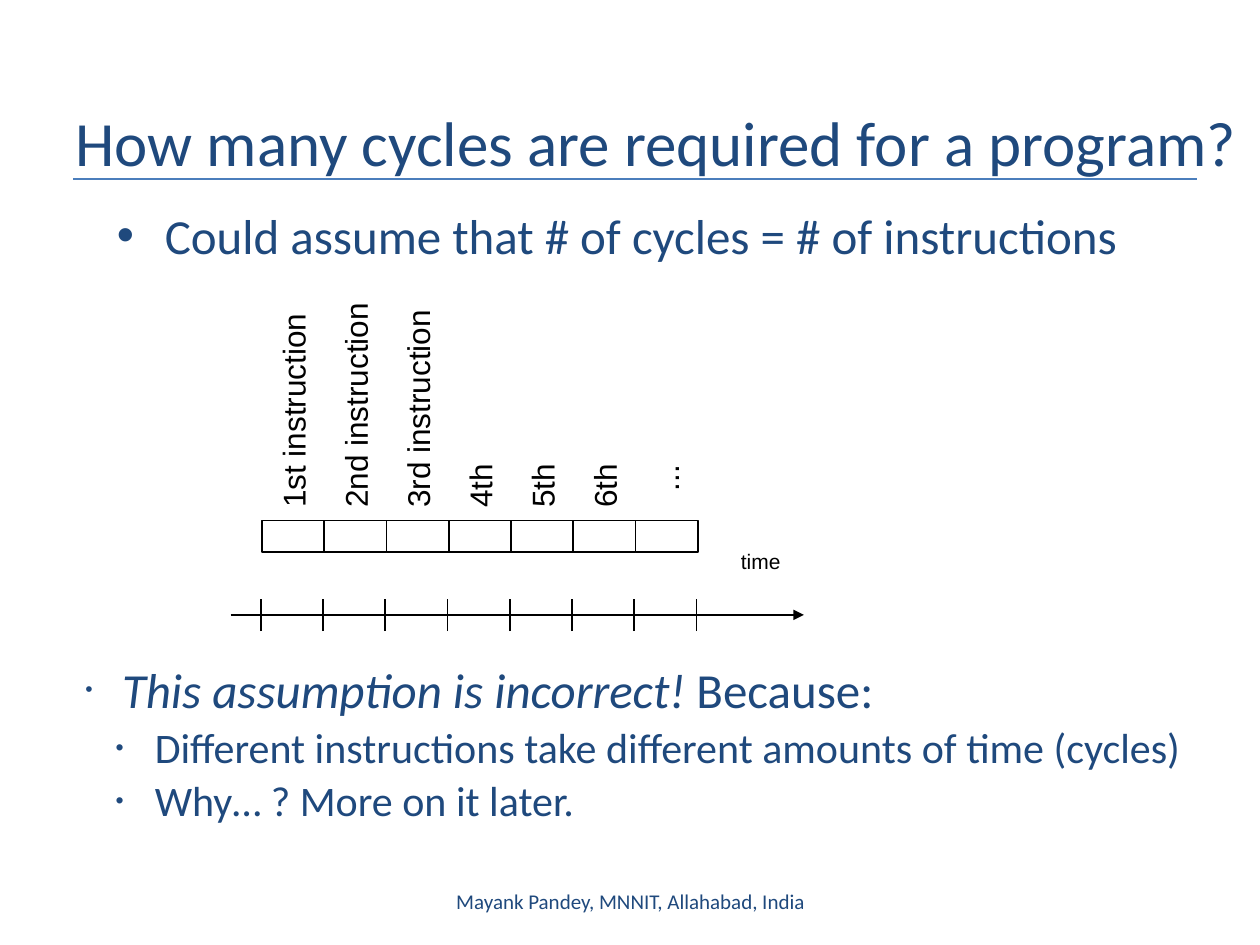
from lxml import etree
from pptx import Presentation
from pptx.dml.color import RGBColor
from pptx.enum.shapes import MSO_CONNECTOR, MSO_SHAPE
from pptx.enum.text import MSO_ANCHOR, PP_ALIGN
from pptx.oxml.ns import qn
from pptx.util import Inches, Pt

NAVY = RGBColor(0x1F, 0x49, 0x7D)
RULE_BLUE = RGBColor(0x4B, 0x7E, 0xBC)
BLACK = RGBColor(0, 0, 0)
WHITE = RGBColor(0xFF, 0xFF, 0xFF)
STRAIGHT = MSO_CONNECTOR.STRAIGHT
RECTANGLE = MSO_SHAPE.RECTANGLE
TOP, MIDDLE = MSO_ANCHOR.TOP, MSO_ANCHOR.MIDDLE
LEFT, CENTER = PP_ALIGN.LEFT, PP_ALIGN.CENTER

WIDTH, HEIGHT = 10, 7.5
LABELS = ["1st instruction", "2nd instruction", "3rd instruction",
          "4th", "5th", "6th", "..."]


def add_text_box(page, box, anchor=TOP, inset=(0.1, 0.05)):
    """Add a wrapping text box and return it."""
    shape = page.shapes.add_textbox(*map(Inches, box))
    frame = shape.text_frame
    frame.word_wrap = True
    frame.vertical_anchor = anchor
    frame.margin_left = frame.margin_right = Inches(inset[0])
    frame.margin_top = frame.margin_bottom = Inches(inset[1])
    return shape


def style(font, size, name="Calibri", color=NAVY):
    font.size, font.name = Pt(size), name
    font.color.rgb = color


def set_bullet(para, margin, hang, percent=100):
    """Give a paragraph a hanging round bullet."""
    props = para._p.get_or_add_pPr()
    props.set("marL", str(Inches(margin)))
    props.set("indent", str(-Inches(hang)))
    color = etree.SubElement(props, qn("a:buClr"))
    etree.SubElement(color, qn("a:srgbClr"), val=str(NAVY))
    etree.SubElement(props, qn("a:buSzPct"), val=str(percent * 1000))
    etree.SubElement(props, qn("a:buFont"), typeface="Arial")
    etree.SubElement(props, qn("a:buChar"), char="•")


def add_line(page, start, end, color=BLACK, width=1, arrow=False):
    line = page.shapes.add_connector(STRAIGHT, *map(Inches, start + end))
    line.line.color.rgb = color
    line.line.width = Pt(width)
    if arrow:
        etree.SubElement(line.line._get_or_add_ln(), qn("a:tailEnd"),
                         type="triangle")
    etree.SubElement(line._element.spPr, qn("a:effectLst"))


def add_plain_text(page, box, text, size, anchor=TOP, align=LEFT):
    """Add one line of navy text."""
    para = add_text_box(page, box, anchor).text_frame.paragraphs[0]
    para.text = text
    para.alignment = align
    style(para.font, size)


def add_title(page, box):
    left, top, width, height = box
    rule_y = top + 0.92
    add_line(page, (left + 0.08, rule_y), (left + 9, rule_y), RULE_BLUE, 0.75)
    add_plain_text(page, box, "How many cycles are required for a program?",
                   36, MIDDLE)


def add_assumption(page, box):
    para = add_text_box(page, box).text_frame.paragraphs[0]
    para.text = "Could assume that # of cycles = # of instructions"
    set_bullet(para, 0.38, 0.38)
    style(para.font, 28)


def add_diagram_label(page, box, text, size, spacing, rotation=0):
    shape = add_text_box(page, box, inset=(0.02, 0.03))
    shape.rotation = rotation
    para = shape.text_frame.paragraphs[0]
    para.text = text
    para.line_spacing = Pt(spacing)
    style(para.font, size, "Arial", BLACK)


def add_timeline(page, box):
    """Draw upright labels over a row of cells, with a time axis below."""
    left, top, width, height = box
    pitch = 0.494
    cells_left = left + 0.25
    cells_top = top + 1.88
    axis_y = top + height - 0.13

    # Time axis and ticks
    add_diagram_label(page, (left + 4.03, axis_y - 0.55, 0.77, 0.33),
                      "time", 12, 14)
    add_line(page, (left, axis_y), (left + width, axis_y), arrow=True)
    for index in range(len(LABELS) + 1):
        x = cells_left - 0.01 + index * pitch
        add_line(page, (x, axis_y + 0.13), (x, axis_y - 0.13))

    # Cells and their labels, which read upwards from a shared base
    for index, text in enumerate(LABELS):
        x = cells_left + index * pitch
        cell = page.shapes.add_shape(
            RECTANGLE, *map(Inches, (x, cells_top, pitch, 0.25)))
        cell.shadow.inherit = False
        cell.fill.solid()
        cell.fill.fore_color.rgb = WHITE
        cell.line.color.rgb = BLACK
        cell.line.width = Pt(1)

        length = 1.8 if "instruction" in text else 0.67
        base = cells_top - (0.21 if text == "..." else 0.08)
        label_box = (x + 0.29 - length / 2, base - length / 2 - 0.215,
                     length, 0.43)
        add_diagram_label(page, label_box, text, 18, 21, 270)


def add_reasons(page, box):
    frame = add_text_box(page, box).text_frame
    heading = frame.paragraphs[0]
    set_bullet(heading, 0.29, 0.29, 43)
    heading.line_spacing = 1.4
    for text, italic in [("This assumption is incorrect!", True),
                         (" Because:", False)]:
        span = heading.add_run()
        span.text = text
        style(span.font, 28)
        span.font.italic = italic

    for text in ["Different instructions take different amounts of time (cycles)",
                 "Why… ? More on it later."]:
        para = frame.add_paragraph()
        para.text = text
        para.level = 1
        para.line_spacing = 0.9
        para.space_before = Pt(4.8)
        set_bullet(para, 0.55, 0.31, 55)
        style(para.font, 24)


def main():
    deck = Presentation()
    deck.slide_width, deck.slide_height = Inches(WIDTH), Inches(HEIGHT)
    page = deck.slides.add_slide(deck.slide_layouts[6])
    page.background.fill.solid()
    page.background.fill.fore_color.rgb = WHITE

    add_assumption(page, (0.83, 1.58, 8.5, 5.17))
    add_timeline(page, (1.83, 2.25, 4.55, 2.76))
    add_title(page, (0.5, 0.5, 9.5, 1.25))
    add_reasons(page, (0.58, 5, 9.08, 1.65))
    add_plain_text(page, (3.42, 6.95, 3.17, 0.4),
                   "Mayank Pandey, MNNIT, Allahabad, India", 12, MIDDLE, CENTER)
    deck.save("out.pptx")


if __name__ == "__main__":
    main()
